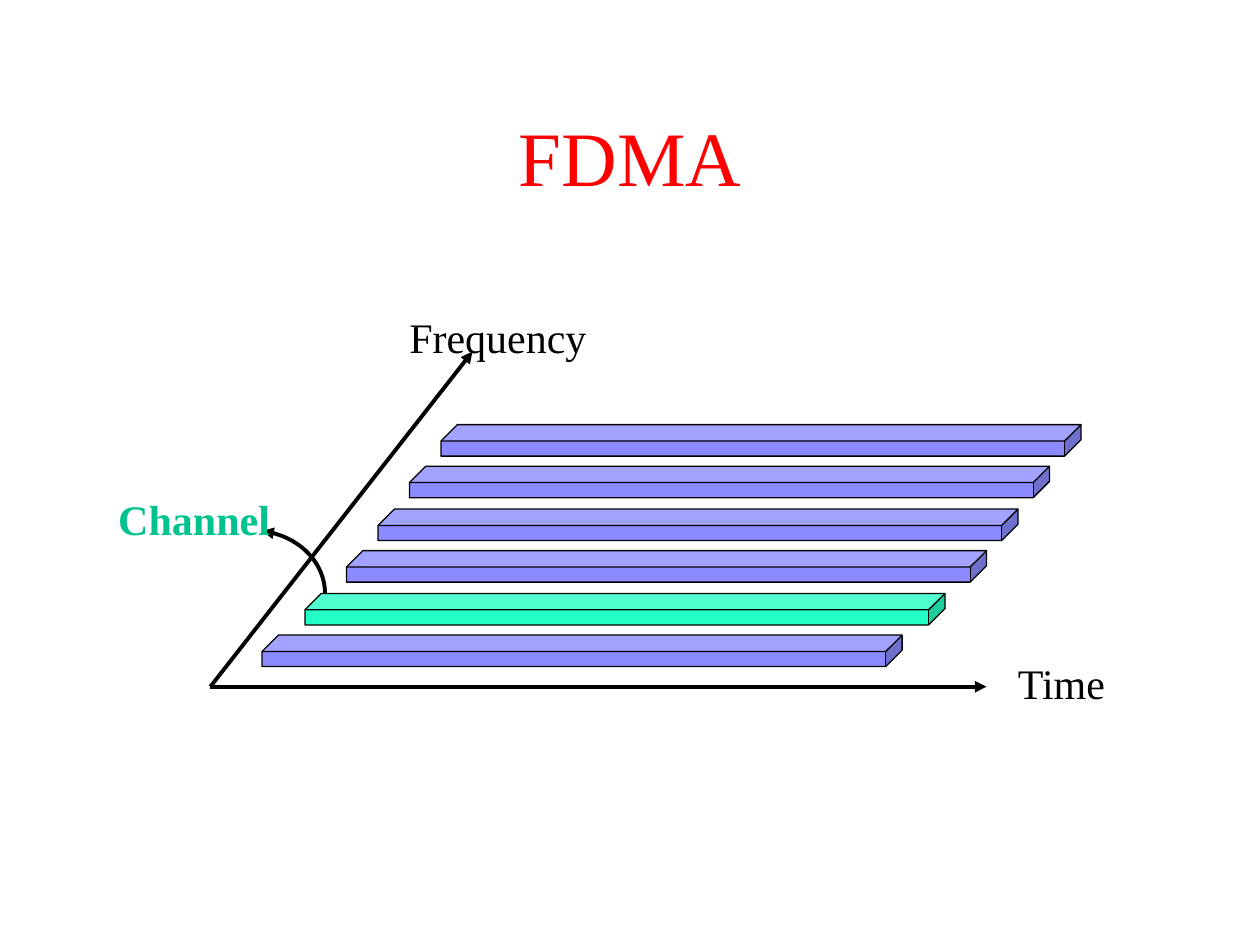
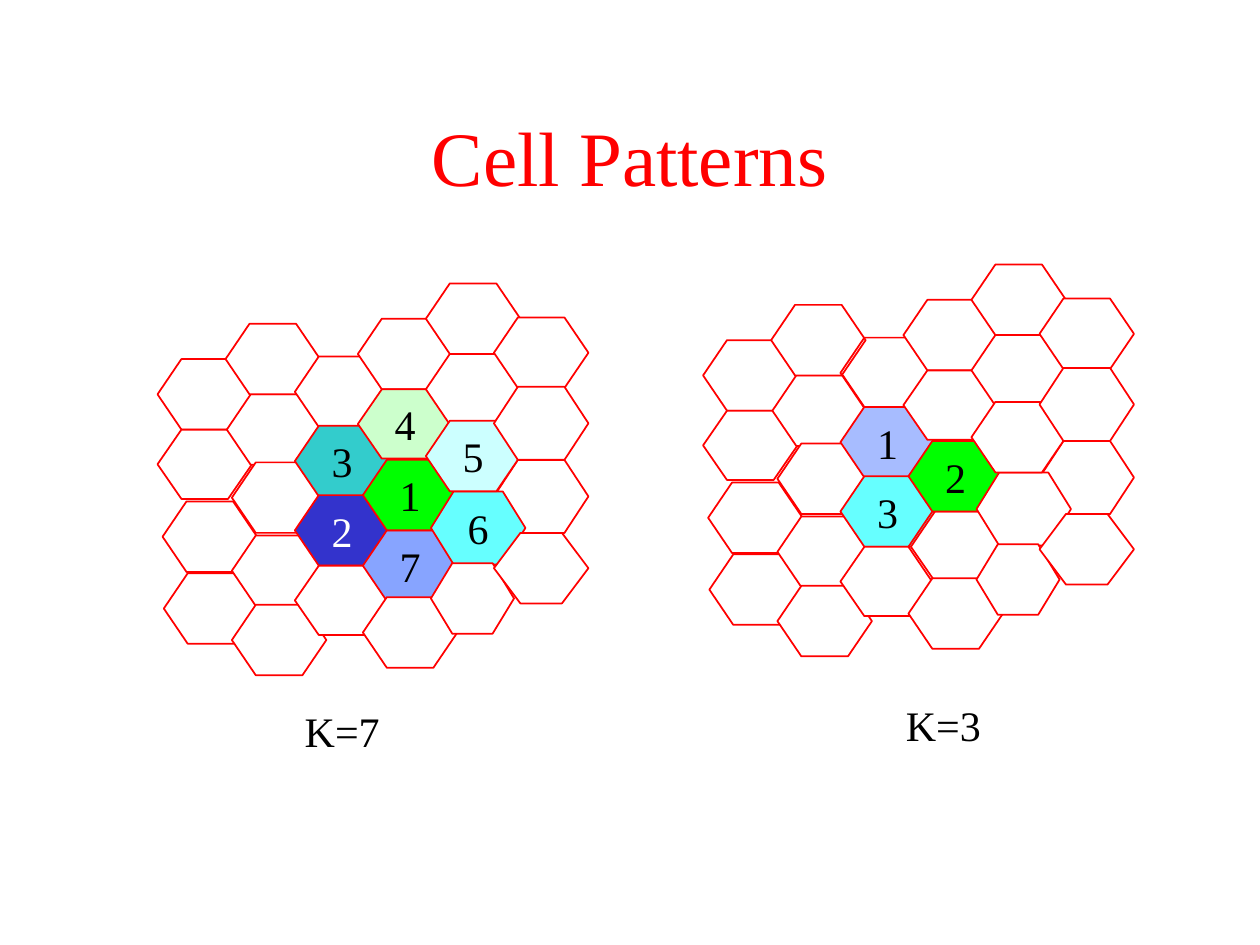
from dataclasses import dataclass
from math import cos, radians, sin
from typing import Any, NamedTuple

from lxml import etree
from pptx import Presentation
from pptx import util as u
from pptx.dml.color import RGBColor
from pptx.enum import shapes, text
from pptx.oxml import ns

PX = 9144  # EMU in one px, 100 px to the inch
FONT = "Times New Roman"
TITLE_SIZE, BODY_SIZE = 44, 24

BLACK = RGBColor(0x00, 0x00, 0x00)
WHITE = RGBColor(0xFF, 0xFF, 0xFF)
RED = RGBColor(0xFF, 0x00, 0x00)
GREEN = RGBColor(0x00, 0xFF, 0x00)
PERIWINKLE = RGBColor(0x8B, 0x8B, 0xFF)
MINT = RGBColor(0x23, 0xFF, 0xC5)
SEA_GREEN = RGBColor(0x00, 0xC2, 0x8F)
LAVENDER = RGBColor(0xA7, 0xBC, 0xFF)
CORNFLOWER = RGBColor(0x87, 0xA4, 0xFF)
CYAN = RGBColor(0x66, 0xFF, 0xFF)
PALE_CYAN = RGBColor(0xCC, 0xFF, 0xFF)
PALE_GREEN = RGBColor(0xCC, 0xFF, 0xCC)
TEAL = RGBColor(0x33, 0xCC, 0xCC)
INDIGO = RGBColor(0x33, 0x33, 0xCC)


class Box(NamedTuple):
    left: int
    top: int
    width: int
    height: int

    def emu(self) -> tuple[int, ...]:
        return tuple(length * PX for length in self)


class Point(NamedTuple):
    x: int
    y: int


class Cell(NamedTuple):
    """A hexagon placed relative to the corner of its cluster."""
    left: int
    top: int
    width: int = 75
    height: int = 56
    corner: int = 19


class Paint(NamedTuple):
    fill: RGBColor | None = WHITE
    number: str = ""
    color: RGBColor = BLACK


@dataclass(frozen=True)
class Label:
    words: str
    box: Box
    color: RGBColor = BLACK
    bold: bool = False


@dataclass(frozen=True)
class Cluster:
    origin: Point
    caption: Label
    paints: dict[Point, Paint]


TITLE_BOX = Box(75, 67, 850, 125)

BAR_LEFTS = (350, 325, 300, 275, 242, 208)
BAR_TOP, BAR_SPAN = 337, 167
CHANNEL_BAR = 4
AXIS_ORIGIN = Point(167, 545)
AXIS_ENDS = (Point(375, 279), Point(783, 545))
AXIS_LABELS = (
    Label("Time", Box(798, 517, 92, 50)),
    Label("Frequency", Box(315, 242, 163, 50)),
    Label("Channel", Box(84, 387, 143, 50), SEA_GREEN, True),
)

CELLS = (
    Cell(0, 60), Cell(0, 116, height=55), Cell(55, 88), Cell(54, 32),
    Cell(109, 58), Cell(59, 142), Cell(109, 113), Cell(5, 230),
    Cell(4, 173), Cell(59, 200), Cell(267, 140, height=58), Cell(59, 255),
    Cell(109, 168), Cell(109, 224, height=55), Cell(163, 196), Cell(163, 140),
    Cell(217, 165, height=58, corner=18), Cell(163, 249),
    Cell(217, 222, width=66, corner=17), Cell(159, 28),
    Cell(159, 84, height=55), Cell(213, 56), Cell(213, 0), Cell(267, 27),
    Cell(213, 109), Cell(267, 82, height=58), Cell(267, 198, corner=21),
)
CLUSTERS = (
    Cluster(Point(558, 210), Label("K=3", Box(709, 550, 82, 50)), {
        Point(109, 58): Paint(None),
        Point(163, 196): Paint(None),
        Point(109, 113): Paint(LAVENDER, "1"),
        Point(163, 140): Paint(GREEN, "2"),
        Point(109, 168): Paint(CYAN, "3"),
    }),
    Cluster(Point(125, 225), Label("K=7", Box(232, 555, 82, 50)), {
        Point(163, 140): Paint(GREEN, "1"),
        Point(109, 168): Paint(INDIGO, "2", WHITE),
        Point(109, 113): Paint(TEAL, "3"),
        Point(159, 84): Paint(PALE_GREEN, "4"),
        Point(213, 109): Paint(PALE_CYAN, "5"),
        Point(217, 165): Paint(CYAN, "6"),
        Point(163, 196): Paint(CORNFLOWER, "7"),
    }),
)


def apply_format(target: Any, values: dict[str, Any]) -> None:
    for name, value in values.items():
        setattr(target, name, value)


def write(shape: Any, words: str, size: int, color: RGBColor,
          frame_format: dict[str, Any], paragraph_format: dict[str, Any],
          bold: bool = False) -> None:
    apply_format(shape.text_frame, frame_format)
    paragraph = shape.text_frame.paragraphs[0]
    apply_format(paragraph, paragraph_format)
    run = paragraph.add_run()
    run.text = words
    apply_format(run.font, {"name": FONT, "size": u.Pt(size), "bold": bold})
    run.font.color.rgb = color


def add_titled_slide(presentation: Any, title: str) -> Any:
    slide = presentation.slides.add_slide(presentation.slide_layouts[6])
    shape = slide.shapes.add_textbox(*TITLE_BOX.emu())
    write(shape, title, TITLE_SIZE, RED,
          {"word_wrap": True, "vertical_anchor": text.MSO_ANCHOR.MIDDLE},
          {"alignment": text.PP_ALIGN.CENTER, "line_spacing": 0.85})
    return slide


def add_label(slide: Any, label: Label) -> None:
    shape = slide.shapes.add_textbox(*label.box.emu())
    write(shape, label.words, BODY_SIZE, label.color,
          {"word_wrap": False, "auto_size": text.MSO_AUTO_SIZE.NONE},
          {"alignment": text.PP_ALIGN.LEFT}, label.bold)


def set_line(shape: Any, color: RGBColor, points: float) -> None:
    shape.line.color.rgb = color
    shape.line.width = u.Pt(points)


def add_preset(slide: Any, kind: Any, box: Box, adjustment: float,
               fill: RGBColor | None, line: RGBColor, points: float) -> Any:
    shape = slide.shapes.add_shape(kind, *box.emu())
    shape.shadow.inherit = False
    shape.adjustments[0] = adjustment
    if fill is None:
        shape.fill.background()
    else:
        shape.fill.solid()
        shape.fill.fore_color.rgb = fill
    set_line(shape, line, points)
    return shape


def style_arrow(shape: Any, end: str) -> None:
    """Draw a heavy black line with a triangle at headEnd or tailEnd."""
    set_line(shape, BLACK, 2.25)
    line = shape.element.spPr.find(ns.qn("a:ln"))
    etree.SubElement(line, ns.qn(f"a:{end}"), type="triangle")


def add_axis(slide: Any, end: Point) -> None:
    ends = (length * PX for length in AXIS_ORIGIN + end)
    axis = slide.shapes.add_connector(shapes.MSO_CONNECTOR.STRAIGHT, *ends)
    style_arrow(axis, "tailEnd")
    etree.SubElement(axis.element.spPr, ns.qn("a:effectLst"))


def add_channel_arrow(slide: Any) -> None:
    """Curve from the channel's name down to its bar, along an ellipse."""
    center, radius_x, radius_y = Point(200, 471), 58, 50
    points = [(round((center.x + radius_x * cos(radians(angle))) * PX),
               round((center.y - radius_y * sin(radians(angle))) * PX))
              for angle in range(82, -1, -2)]
    builder = slide.shapes.build_freeform(*points[0])
    builder.add_line_segments(points[1:], close=False)
    arrow = builder.convert_to_shape()
    arrow.shadow.inherit = False
    arrow.fill.background()
    style_arrow(arrow, "headEnd")


def add_cluster(slide: Any, cluster: Cluster) -> None:
    for cell in CELLS:
        paint = cluster.paints.get(Point(cell.left, cell.top), Paint())
        box = Box(cluster.origin.x + cell.left, cluster.origin.y + cell.top,
                  cell.width, cell.height)
        hexagon = add_preset(slide, shapes.MSO_SHAPE.HEXAGON, box,
                             cell.corner / cell.height, paint.fill, RED, 1)
        if paint.number:
            write(hexagon, paint.number, BODY_SIZE, paint.color,
                  {"word_wrap": False, "vertical_anchor": text.MSO_ANCHOR.MIDDLE},
                  {"alignment": text.PP_ALIGN.CENTER})
    add_label(slide, cluster.caption)


def build_fdma(presentation: Any) -> None:
    slide = add_titled_slide(presentation, "FDMA")
    for index, left in enumerate(BAR_LEFTS):
        top = BAR_TOP + round(BAR_SPAN * index / (len(BAR_LEFTS) - 1))
        add_preset(slide, shapes.MSO_SHAPE.CUBE, Box(left, top, 508, 25), 0.52,
                   MINT if index == CHANNEL_BAR else PERIWINKLE, BLACK, 0.75)
    for end in AXIS_ENDS:
        add_axis(slide, end)
    add_channel_arrow(slide)
    for label in AXIS_LABELS:
        add_label(slide, label)


def build_cell_patterns(presentation: Any) -> None:
    slide = add_titled_slide(presentation, "Cell Patterns")
    for cluster in CLUSTERS:
        add_cluster(slide, cluster)


def main() -> None:
    presentation = Presentation()
    apply_format(presentation, {"slide_width": 1000 * PX, "slide_height": 750 * PX})
    build_fdma(presentation)
    build_cell_patterns(presentation)
    presentation.save("out.pptx")


if __name__ == "__main__":
    main()
